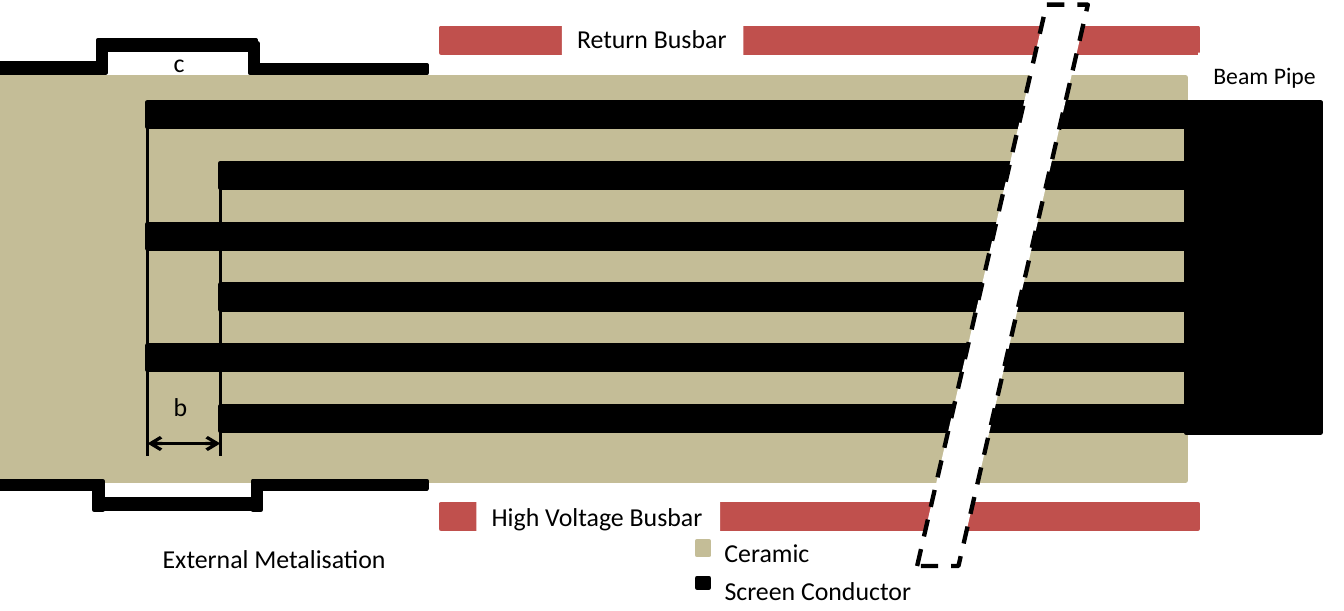
from pptx import Presentation
from pptx.dml.color import RGBColor as RGB
from pptx.enum.dml import MSO_LINE
from pptx.enum.shapes import MSO_CONNECTOR, MSO_SHAPE as SHAPE
from pptx.enum.text import MSO_AUTO_SIZE as FIT
from pptx.oxml.ns import qn
from pptx.util import Inches, Pt
from lxml.etree import SubElement

THEME = dict(
    font="Calibri", label=12, small=11, edge=2, rule=1.5,
    black=RGB(0, 0, 0), white=RGB(255, 255, 255),
    ceramic=RGB(0xC4, 0xBD, 0x97), busbar=RGB(0xC0, 0x50, 0x4D),
)
W, H = 8.66, 3.94

prs = Presentation()
prs.slide_width, prs.slide_height = Inches(W), Inches(H)
s = prs.slides.add_slide(prs.slide_layouts[6])


def block(x, y, w, h, fill, line=None, kind=SHAPE.RECTANGLE):
    sp = s.shapes.add_shape(kind, *map(Inches, (x, y, w, h)))
    sp.shadow.inherit = False
    sp.fill.solid()
    sp.fill.fore_color.rgb = THEME[fill]
    sp.line.color.rgb = THEME[line or fill]
    sp.line.width = Pt(THEME["edge"])
    return sp


def label(text, x, y, w, h=0.3, size="label", fill=None):
    sp = s.shapes.add_textbox(*map(Inches, (x, y, w, h)))
    if fill:
        sp.fill.solid()
        sp.fill.fore_color.rgb = THEME[fill]
    tf = sp.text_frame
    tf.word_wrap, tf.auto_size = False, FIT.SHAPE_TO_FIT_TEXT
    r = tf.paragraphs[0].add_run()
    r.text = text
    for name, value in dict(name=THEME["font"], size=Pt(THEME[size])).items():
        setattr(r.font, name, value)
    r.font.color.rgb = THEME["black"]


# Ceramic body with alternating long and short screen conductors
LONG, SHORT, RIGHT = 0.95, 1.42, 7.64
TOP, PITCH, BAR = 0.66, 0.392, 0.16
block(0, 0.5, RIGHT, 2.6, "ceramic")
for i in range(6):
    left = SHORT if i % 2 else LONG
    block(left, TOP + i * PITCH, RIGHT - left, BAR, "black")

# Dimension b: two guide lines and a double arrow
for x1, y1, x2, y2 in [(LONG, 0.73, LONG, 2.94), (SHORT, 1.13, SHORT, 2.94),
                       (LONG, 2.86, SHORT, 2.86)]:
    c = s.shapes.add_connector(MSO_CONNECTOR.STRAIGHT,
                               *map(Inches, (x1, y1, x2, y2)))
    c.line.color.rgb = THEME["black"]
    c.line.width = Pt(THEME["rule"])
    if y1 == y2:
        for end in ("a:headEnd", "a:tailEnd"):
            SubElement(c.line._get_or_add_ln(), qn(end), type="arrow")
    SubElement(c._element.spPr, qn("a:effectLst"))
label("b", 1.02, 2.47, 0.29)

# Busbars and beam pipe
for y, text, x, label_y, w in [(0.18, "Return Busbar", 3.62, 0.1, 1.17),
                               (3.25, "High Voltage Busbar", 3.07, 3.18, 1.57)]:
    block(2.84, y, 4.88, BAR, "busbar")
    label(text, x, label_y, w, fill="white")
block(RIGHT, TOP, 0.87, 2.13, "black")
label("Beam Pipe", 7.72, 0.34, 0.87, 0.29, size="small", fill="white")

# Legend
for text, y, h, fill, label_y, w in [
        ("Ceramic", 3.49, 0.09, "ceramic", 3.41, 0.76),
        ("Screen Conductor", 3.73, 0.06, "black", 3.66, 1.42)]:
    block(4.49, y, 0.08, h, fill)
    label(text, 4.57, label_y, w)

# Break across the length
sp = block(5.91, 0.03, 1.1, 3.62, "white", "black", SHAPE.PARALLELOGRAM)
sp.adjustments[0] = 0.758
sp.line.dash_style = MSO_LINE.DASH

# External metalisation: flat runs, raised bridges and their uprights
for x, y, w, h in [
        (-0.01, 0.41, 0.64, 0.06), (0.65, 0.26, 1, 0.06), (1.65, 0.42, 1.1, 0.05),
        (0.63, 0.26, 0.05, 0.21), (1.61, 0.28, 0.05, 0.19),
        (0, 3.1, 0.63, 0.05), (0.65, 3.22, 1, 0.06), (1.65, 3.1, 1.1, 0.05),
        (0.61, 3.1, 0.05, 0.19), (1.63, 3.1, 0.05, 0.19)]:
    block(x, y, w, h, "black")
label("External Metalisation", 0.95, 3.45, 1.66)
label("c", 1.02, 0.25, 0.27)

prs.save("out.pptx")
